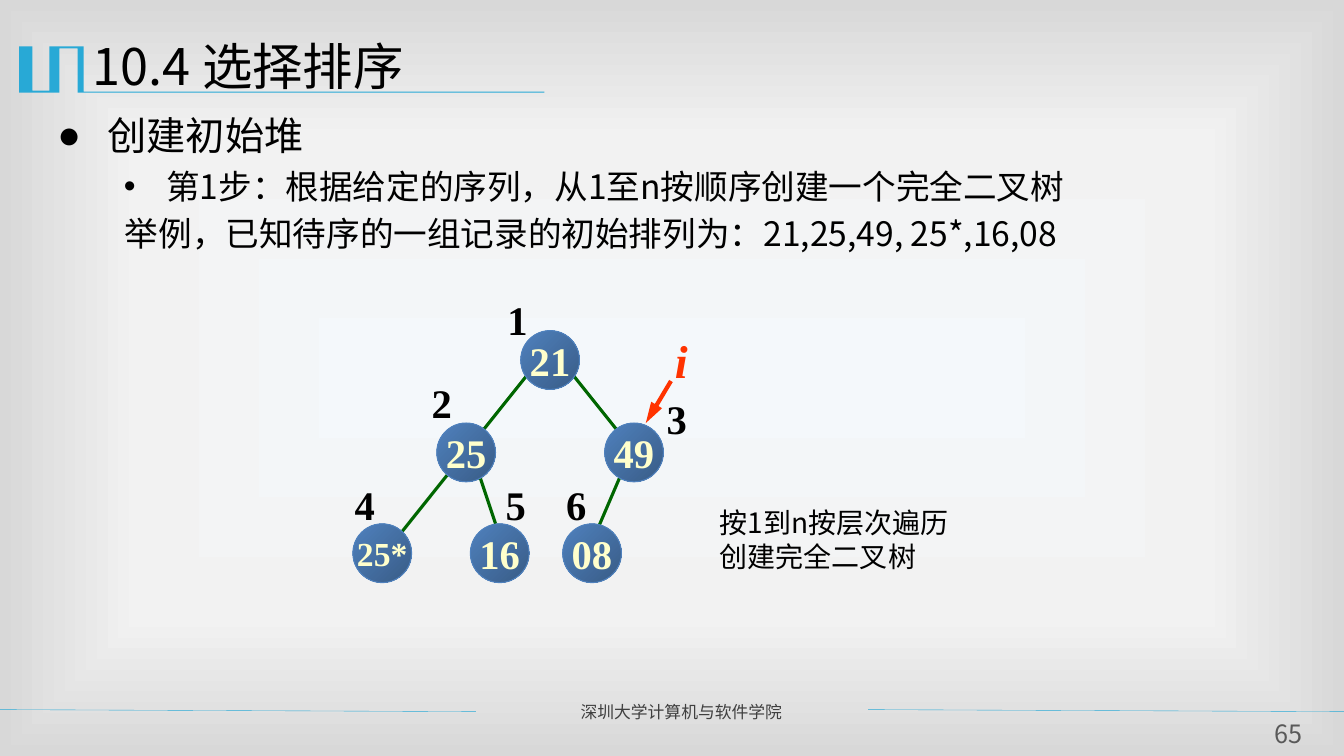
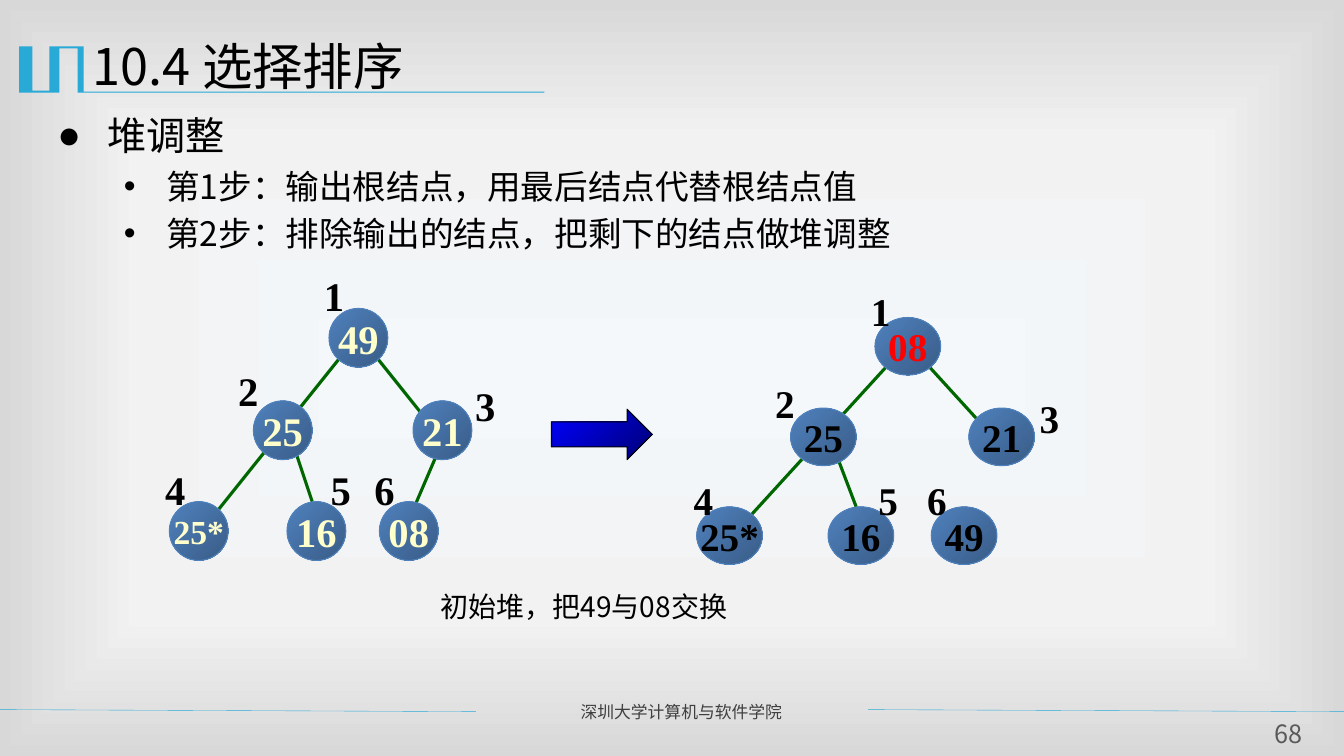
from lxml import etree
from pptx import Presentation
from pptx.dml.color import RGBColor
from pptx.enum.shapes import MSO_CONNECTOR, MSO_SHAPE
from pptx.enum.text import MSO_ANCHOR, PP_ALIGN
from pptx.oxml.ns import qn
from pptx.util import Emu, Inches, Pt

LINE = MSO_CONNECTOR.STRAIGHT
OVAL, ARROW = MSO_SHAPE.OVAL, MSO_SHAPE.RIGHT_ARROW
LEFT, CENTER, JUSTIFY = PP_ALIGN.LEFT, PP_ALIGN.CENTER, PP_ALIGN.JUSTIFY
TOP, MIDDLE = MSO_ANCHOR.TOP, MSO_ANCHOR.MIDDLE

HEX = {
    "accent": "28A9D6", "ink": "000000", "footer": "3F3F3F", "number": "595959",
    "edge": "006600", "cream": "FFFFCC", "red": "FF0000", "pointer": "FF3300",
    "node": "4F81BD", "node_end": "395C87", "arrow": "0000FF", "arrow_end": "000076",
    "center": "F4F8FB", "middle": "F2F2F2", "rim": "D8D8D8",
}
SANS, SERIF = "Noto Sans CJK SC", "Times New Roman"
LEADING = 1.2
PAD = (0.1, 0.05)

# Outline of the title ornament, in hundredths of an inch
ORNAMENT = [(82, 46), (83, 46), (83, 91), (540, 91), (540, 92), (77, 92), (77, 48),
            (59, 48), (59, 92), (19, 92), (19, 46), (32, 46), (32, 90), (49, 90), (49, 46)]

# Tree plans: nodes, edges and labels in cells; a node is SPAN cells wide and high
SPAN, ROWS = 7, 30
WIDE = {
    "cols": 37,
    "nodes": [(20, 0), (10, 11), (30, 11), (0, 23), (14, 23), (25, 23)],
    "edges": [(21, 5, 5, 25), (26, 5, 34, 15), (15, 17, 17, 23), (32, 17, 29, 24)],
    "labels": [(17.2, -4.8), (8.2, 5), (36.2, 7), (-1, 17.2), (17, 17.2), (24.2, 17.2)],
}
HEAP = {
    "cols": 36,
    "nodes": [(19, 0), (10, 11), (29, 11), (0, 23), (14, 23), (25, 23)],
    "edges": [(21, 5, 5, 25), (24, 5, 32, 15), (15, 17, 17, 23), (32, 17, 29, 24)],
    "labels": [(17.2, -5), (7, 6.2), (35.2, 8), (-1.7, 18), (18, 18), (23.2, 18)],
}
SWAPPED = {
    **HEAP,
    "edges": HEAP["edges"][:3],
    "labels": [(x, y + 0.7) for x, y in HEAP["labels"]],
}


def rgb(name):
    return RGBColor.from_string(HEX[name])


def child(parent, tag, **attrs):
    return etree.SubElement(parent, qn(tag), attrs)


def write(frame, lines, size=20, color="ink", font=SANS, align=LEFT, anchor=TOP,
          wrap=True, pad=PAD, **style):
    """Each line is a string or a dict with text, size, margin, hang, bullet, before."""
    across, down = pad
    look = {"word_wrap": wrap, "vertical_anchor": anchor,
            "margin_left": Inches(across), "margin_right": Inches(across),
            "margin_top": Inches(down), "margin_bottom": Inches(down)}
    for key, value in look.items():
        setattr(frame, key, value)
    for i, line in enumerate(lines):
        item = line if isinstance(line, dict) else {"text": line}
        par = frame.add_paragraph() if i else frame.paragraphs[0]
        points = item.get("size", size)
        par.alignment = align
        if font == SANS:
            par.line_spacing = Pt(LEADING * points)
        if "before" in item:
            par.space_before = Pt(item["before"])
        props = par._p.get_or_add_pPr()
        props.set("marL", str(Inches(item.get("margin", 0))))
        props.set("indent", str(Inches(item.get("hang", 0))))
        if "bullet" in item:
            child(props, "a:buFont", typeface="Arial")
            child(props, "a:buChar", char=item["bullet"])
        run = par.add_run()
        run.text = item["text"]
        face = {"name": font, "size": Pt(points), "bold": False, **style}
        for key, value in face.items():
            setattr(run.font, key, value)
        run.font.color.rgb = rgb(color)
        child(run._r.get_or_add_rPr(), "a:ea", typeface=font)


def label(slide, box, lines, **style):
    write(slide.shapes.add_textbox(*map(Inches, box)).text_frame, lines, **style)


def rule(slide, ends, color, width):
    line = slide.shapes.add_connector(LINE, *map(Inches, ends))
    line.line.color.rgb = rgb(color)
    line.line.width = Pt(width)
    child(line._element.spPr, "a:effectLst")
    return line


def solid(slide, kind, box, fill, edge):
    """Preset shape shaded from upper left to lower right."""
    shape = slide.shapes.add_shape(kind, *map(Inches, box))
    shape.shadow.inherit = False
    shape.fill.gradient()
    shape.fill.gradient_angle = 315
    for stop, name in zip(shape.fill.gradient_stops, (fill, fill + "_end")):
        stop.color.rgb = rgb(name)
    shape.line.color.rgb = rgb(edge)
    shape.line.width = Pt(0.75)
    return shape


def backdrop(master):
    """Rectangular gradient that spreads from the middle of the slide."""
    fill = master.background.fill
    fill.gradient()
    grad = master.element.find(".//" + qn("p:bgPr")).find(qn("a:gradFill"))
    for part in list(grad):
        grad.remove(part)
    stops = child(grad, "a:gsLst")
    for place, name in ((0, "center"), (63, "middle"), (100, "rim")):
        stop = child(stops, "a:gs", pos=str(place * 1000))
        child(stop, "a:srgbClr", val=HEX[name])
    sweep = child(grad, "a:path", path="rect")
    child(sweep, "a:fillToRect", l="50000", t="50000", r="50000", b="50000")


def page(prs, number, body):
    """Title, ornament, footer, page number and bullet text."""
    slide = prs.slides.add_slide(prs.slide_layouts[5])
    draw = slide.shapes.build_freeform(*ORNAMENT[0], scale=Inches(0.01))
    draw.add_line_segments(ORNAMENT[1:], close=True)
    mark = draw.convert_to_shape()
    mark.shadow.inherit = False
    mark.fill.solid()
    mark.fill.fore_color.rgb = rgb("accent")
    mark.line.fill.background()
    for left, right in ((0, 4.72), (8.61, 13.33)):
        rule(slide, (left, 7.04, right, 7.06), "accent", 0.25)
    label(slide, (5.66, 6.91, 2.85, 0.3), ["深圳大学计算机与软件学院"],
          size=12, color="footer", align=JUSTIFY)
    title = slide.shapes.title
    for key, value in zip(("left", "top", "width", "height"), (0.82, 0.21, 12, 0.87)):
        setattr(title, key, Inches(value))
    write(title.text_frame, ["10.4 选择排序"], size=36, anchor=MIDDLE)
    label(slide, (12.48, 7.13, 0.59, 0.31), [str(number)],
          size=18, color="number", align=CENTER, pad=(0, 0))
    label(slide, (0.47, 1.06, 12.13, 1.37), body, size=24)
    return slide


def head(text):
    return {"text": text, "size": 28, "margin": 0.5, "hang": -0.5, "bullet": "●"}


def step(text):
    return {"text": text, "margin": 1.08, "hang": -0.42, "bullet": "•", "before": 4.8}


def grid(box, cols):
    """Return a function that turns cells into inches inside the box."""
    left, top, width, height = box
    across, down = width / cols, height / ROWS

    def place(x, y, wide=0, high=0):
        return left + x * across, top + y * down, wide * across, high * down
    return place


def tree(slide, box, plan, values, size=29, color="cream", special=None):
    """Numbered binary tree; special maps a value to its own format."""
    place = grid(box, plan["cols"])
    for x, y, to_x, to_y in plan["edges"]:
        rule(slide, place(x, y)[:2] + place(to_x, to_y)[:2], "edge", 2.25)
    for value, spot in zip(values, plan["nodes"]):
        node = solid(slide, OVAL, place(*spot, SPAN, SPAN), "node", "node")
        look = {"size": size, "color": color, **(special or {}).get(value, {})}
        write(node.text_frame, [value], font=SERIF, bold=True, align=CENTER,
              anchor=MIDDLE, wrap=False, **look)
    for i, spot in enumerate(plan["labels"], 1):
        label(slide, place(*spot, 4.8, SPAN), [str(i)], size=size, font=SERIF,
              bold=True, align=CENTER)


def pointer(slide, box, cols):
    place = grid(box, cols)
    line = rule(slide, place(37.9, 6)[:2] + place(34.9, 11)[:2], "pointer", 3)
    child(line.line._get_or_add_ln(), "a:tailEnd", type="triangle", w="med", len="lg")
    label(slide, place(37.2, -0.4, 4, 7.8), ["i"], size=33, color="pointer",
          font=SERIF, bold=True, italic=True, wrap=False)


def build_slide(prs):
    example = {"text": "举例，已知待序的一组记录的初始排列为：21,25,49, 25*,16,08",
               "margin": 0.67, "before": 4.8}
    slide = page(prs, 65, [
        head("创建初始堆"),
        step("第1步：根据给定的序列，从1至n按顺序创建一个完全二叉树"),
        example])
    box = (3.5, 3.28, 3.08, 2.5)
    tree(slide, box, WIDE, ["21", "25", "49", "25*", "16", "08"],
         special={"25*": {"size": 24}})
    pointer(slide, box, WIDE["cols"])
    label(slide, (7.04, 4.97, 2.68, 0.77), ["按1到n按层次遍历创建完全二叉树"])


def adjust_slide(prs):
    slide = page(prs, 68, [
        head("堆调整"),
        step("第1步：输出根结点，用最后结点代替根结点值"),
        step("第2步：排除输出的结点，把剩下的结点做堆调整")])
    label(slide, (3.77, 5.8, 3.76, 0.44),
          [{"text": "初始堆，把49与08交换", "margin": 1.06, "hang": -0.56}])
    tree(slide, (1.68, 3.06, 3, 2.5), HEAP, ["49", "25", "21", "25*", "16", "08"],
         special={"25*": {"size": 24}})
    tree(slide, (6.91, 3.15, 3.35, 2.45), SWAPPED, ["08", "25", "21", "25*", "16", "49"],
         size=28, color="ink", special={"08": {"color": "red"}})
    solid(slide, ARROW, (5.47, 4.06, 1, 0.5), "arrow", "ink")


def main():
    prs = Presentation()
    prs.slide_width, prs.slide_height = Inches(13.33), Emu(6858000)
    backdrop(prs.slide_master)
    build_slide(prs)
    adjust_slide(prs)
    prs.save("out.pptx")


if __name__ == "__main__":
    main()
